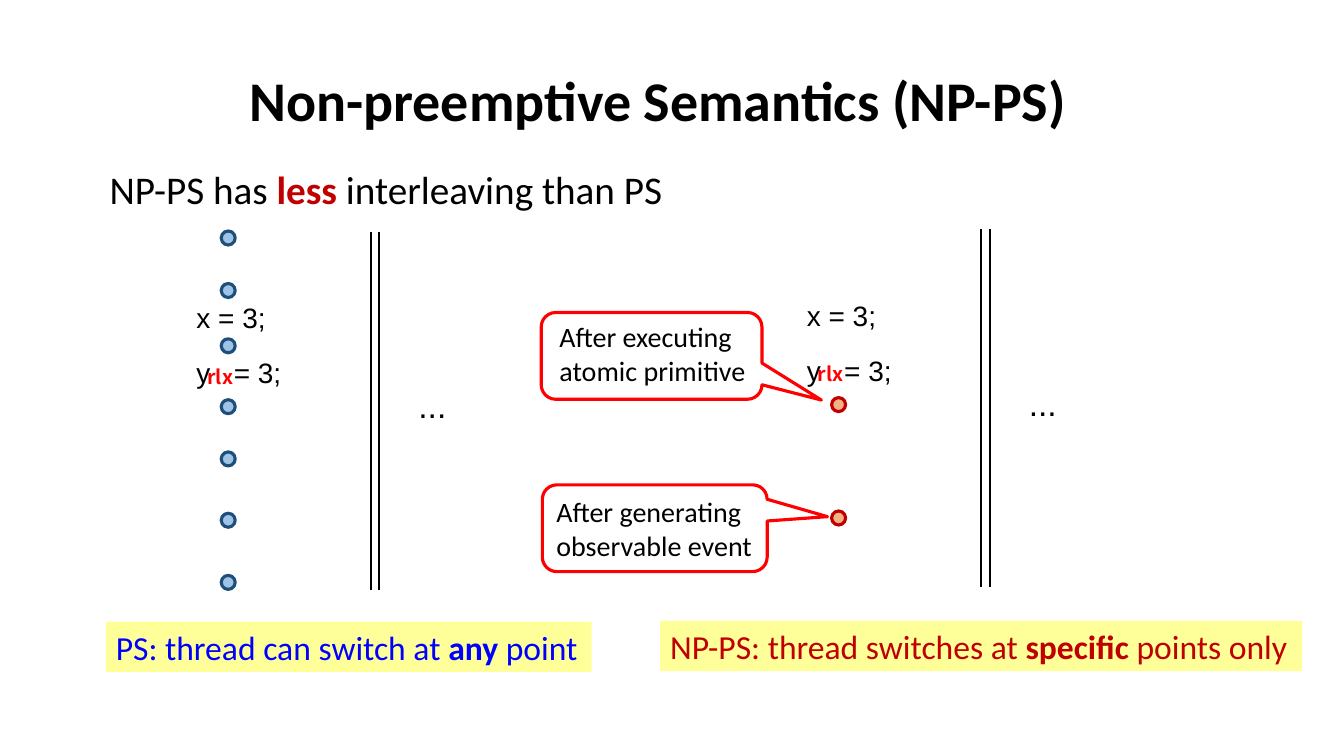
from lxml import etree
from pptx import Presentation
from pptx.dml.color import RGBColor
from pptx.enum import shapes, text
from pptx.oxml import ns
from pptx.util import Pt

BLACK, WHITE = RGBColor(0, 0, 0), RGBColor(255, 255, 255)
RED, DARK_RED = RGBColor(255, 0, 0), RGBColor(0xC0, 0, 0)
BLUE, NAVY = RGBColor(0, 0, 255), RGBColor(0x1F, 0x4E, 0x79)
SKY, PEACH = RGBColor(0x9D, 0xC3, 0xE6), RGBColor(0xF4, 0xB1, 0x83)
YELLOW = RGBColor(255, 255, 0x99)
LEFT, CENTER = text.PP_ALIGN.LEFT, text.PP_ALIGN.CENTER
TOP, MIDDLE = text.MSO_ANCHOR.TOP, text.MSO_ANCHOR.MIDDLE
SHAPE = shapes.MSO_SHAPE

TITLE = [[("Non-preemptive Semantics (NP-PS)", {"bold": True})]]
LEAD = [[("NP-PS has ", {}), ("less ", {"bold": True, "color": DARK_RED}),
         ("interleaving than PS", {})]]
THREADS = [(0, 0), (436, -1.7)]
THREAD_TEXT = [
    ("x = 3;", (133.2, 211, 70, 31.5), {"name": "Arial", "size": 20}),
    ("y\t= 3;", (133.2, 250.6, 82, 31.5), {"name": "Arial", "size": 20}),
    ("rlx", (141.1, 257, 33.1, 26.6),
     {"name": "Noto Sans CJK SC", "size": 14, "bold": True, "color": RED}),
    ("...", (291.8, 271.4, 36, 36), {"name": "Arial", "size": 24}),
]
BAR_XS, BAR_TOP, BAR_BOTTOM = (265, 271), 165.6, 421.2
TAB_STOP = 26.7
DOT = 10
DOTS = [
    (163, (170, 207.5, 247, 290.5, 327.8, 371.6, 416), SKY, NAVY),
    (599, (289, 370), PEACH, DARK_RED),
]
LABELS = [
    ((75.6, 444, 347, 36), BLUE, ("PS: thread can switch at ", "any", " point")),
    ((471.6, 443.5, 458.6, 36), DARK_RED,
     ("NP-PS: thread switches at ", "specific", " points only")),
]
CALLOUTS = [
    ((386.6, 223.2, 157.7, 62), (0.769, 0.509), (10, 0, 0, 3.6),
     ["After executing", "atomic primitive"]),
    ((387.4, 346.3, 160.6, 62), (0.768, -0.133), (7, 0, 0, 0),
     ["After generating observable event"]),
]

prs = Presentation()
prs.slide_width, prs.slide_height = Pt(960), Pt(540)
s = prs.slides.add_slide(prs.slide_layouts[6])


def write(sp, paragraphs, size, name="Calibri", color=BLACK, bold=False,
          align=LEFT, anchor=TOP, insets=(7.2, 3.6, 7.2, 3.6)):
    tf = sp.text_frame
    tf.word_wrap = True
    tf.vertical_anchor = anchor
    for side, inset in zip(("left", "top", "right", "bottom"), insets):
        setattr(tf, "margin_" + side, Pt(inset))
    for i, runs in enumerate(paragraphs):
        p = tf.add_paragraph() if i else tf.paragraphs[0]
        p.alignment = align
        for words, changes in runs:
            r = p.add_run()
            r.text = words
            look = {"name": name, "size": size, "color": color, "bold": bold, **changes}
            r.font.color.rgb = look.pop("color")
            look["size"] = Pt(look["size"])
            for key, value in look.items():
                setattr(r.font, key, value)
    return tf


def add_text(box, paragraphs, size, **look):
    return write(s.shapes.add_textbox(*map(Pt, box)), paragraphs, size, **look)


def add_shape(kind, box, fill, line=None):
    sp = s.shapes.add_shape(kind, *map(Pt, box))
    sp.shadow.inherit = False
    sp.fill.solid()
    sp.fill.fore_color.rgb = fill
    if line is None:
        sp.line.fill.background()
    else:
        sp.line.color.rgb = line
        sp.line.width = Pt(2.25)
    return sp


def add_bar(x, top, bottom):
    bar = s.shapes.add_connector(shapes.MSO_CONNECTOR.STRAIGHT,
                                 Pt(x), Pt(top), Pt(x), Pt(bottom))
    bar.line.color.rgb = BLACK
    bar.line.width = Pt(1.5)
    etree.SubElement(bar._element.spPr, ns.qn("a:effectLst"))


def add_thread(dx, dy):
    for words, (x, y, w, h), look in THREAD_TEXT:
        tf = add_text((x + dx, y + dy, w, h), [[(words, {})]], **look)
        if "\t" in words:
            pPr = tf.paragraphs[0]._p.get_or_add_pPr()
            tabs = etree.SubElement(pPr, ns.qn("a:tabLst"))
            etree.SubElement(tabs, ns.qn("a:tab"), pos=str(Pt(TAB_STOP)), algn="l")
    for x in BAR_XS:
        add_bar(x + dx, BAR_TOP + dy, BAR_BOTTOM + dy)


title = add_text((51.1, 21.6, 837.4, 104.4), TITLE, 40, align=CENTER, anchor=MIDDLE)
title.paragraphs[0].line_spacing = 0.9
add_text((71.3, 114.5, 817.2, 41), LEAD, 28)

for dx, dy in THREADS:
    add_thread(dx, dy)

for x, ys, fill, line in DOTS:
    for y in ys:
        add_shape(SHAPE.OVAL, (x - DOT / 2, y - DOT / 2, DOT, DOT), fill, line)

for box, color, (before, strong, after) in LABELS:
    runs = [(before, {}), (strong, {"bold": True}), (after, {})]
    write(add_shape(SHAPE.RECTANGLE, box, YELLOW), [runs], 24, color=color)

for box, tip, insets, lines in CALLOUTS:
    sp = add_shape(SHAPE.ROUNDED_RECTANGULAR_CALLOUT, box, WHITE, RED)
    for i, value in enumerate((*tip, 0.167)):
        sp.adjustments[i] = value
    write(sp, [[(words, {})] for words in lines], 20, anchor=MIDDLE, insets=insets)

prs.save("out.pptx")
